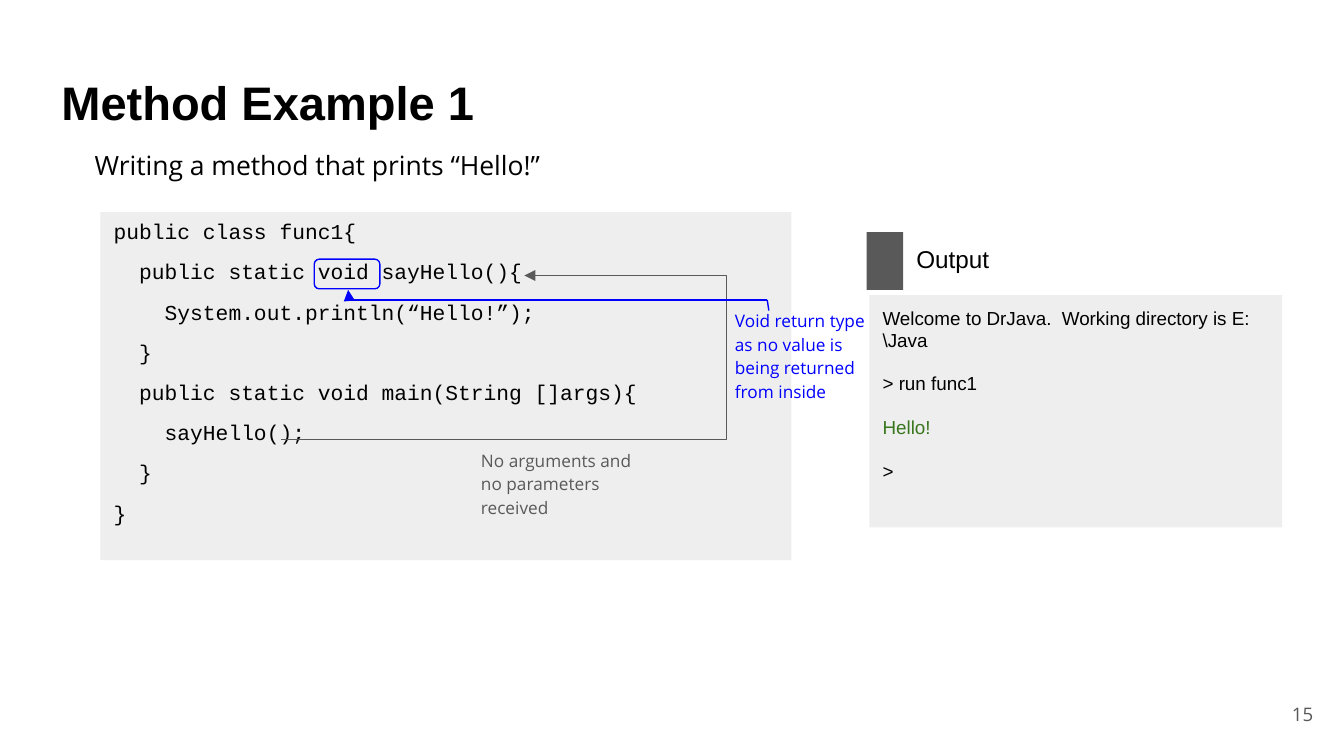
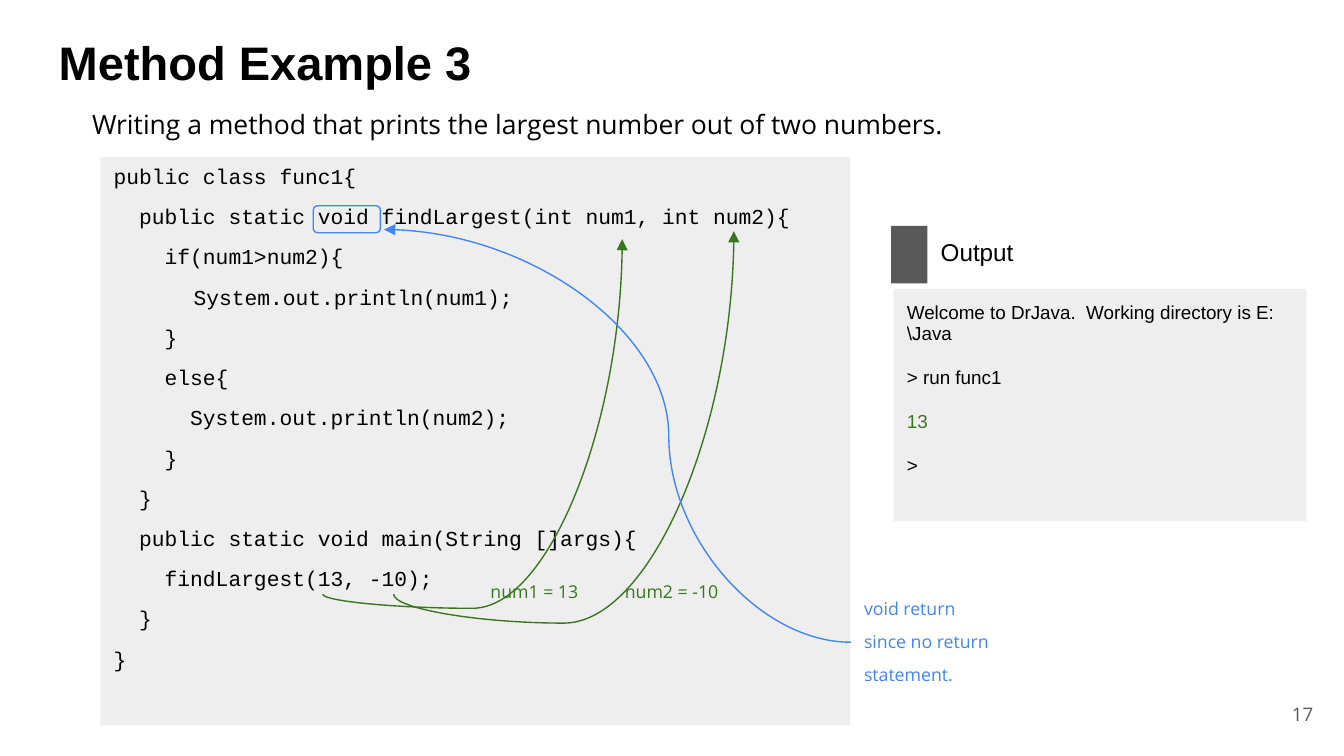
from dataclasses import dataclass

from lxml import etree
from pptx import Presentation
from pptx.dml.color import RGBColor
from pptx.enum.shapes import MSO_CONNECTOR, MSO_SHAPE
from pptx.enum.text import MSO_ANCHOR, MSO_AUTO_SIZE, PP_ALIGN
from pptx.oxml.ns import qn
from pptx.shapes.autoshape import Shape
from pptx.slide import Slide
from pptx.util import Cm, Pt

RECTANGLE, ROUNDED = MSO_SHAPE.RECTANGLE, MSO_SHAPE.ROUNDED_RECTANGLE
ALTERNATE_PROCESS = MSO_SHAPE.FLOWCHART_ALTERNATE_PROCESS
STRAIGHT, ELBOW, CURVE = MSO_CONNECTOR.STRAIGHT, MSO_CONNECTOR.ELBOW, MSO_CONNECTOR.CURVE
LEFT, RIGHT = PP_ALIGN.LEFT, PP_ALIGN.RIGHT
TOP, MIDDLE = MSO_ANCHOR.TOP, MSO_ANCHOR.MIDDLE
NO_AUTOFIT = MSO_AUTO_SIZE.NONE

COLORS = {
    "ink": "000000",
    "panel": "EEEEEE",
    "gray": "595959",
    "green": "38761D",
    "blue": "0000FF",
    "sky": "4285F4",
}


@dataclass(frozen=True)
class Frame:
    left: float
    top: float
    width: float
    height: float


@dataclass(frozen=True)
class TextStyle:
    font: str
    size: float
    color: str = "ink"
    bold: bool = False
    spacing: float = 1.0
    gap: float = 0
    after: float = 0
    indent: float = 0
    tab: float = 0
    align: PP_ALIGN = LEFT
    anchor: MSO_ANCHOR = TOP


@dataclass(frozen=True)
class Note:
    frame: Frame
    lines: list[str]
    style: TextStyle


@dataclass(frozen=True)
class Link:
    kind: MSO_CONNECTOR
    start: tuple[float, float]
    end: tuple[float, float]
    color: str
    arrow: str = ""
    bend: float | None = None
    upright: bool = False
    preset: str = ""


@dataclass(frozen=True)
class Highlight:
    outline: MSO_SHAPE
    frame: Frame
    color: str


@dataclass(frozen=True)
class Example:
    title: str
    task: str
    number: str
    title_at: tuple[float, float]
    code_frame: Frame
    code: str
    output_at: tuple[float, float]
    result: str
    highlight: Highlight
    links: list[Link]
    notes: list[Note]


TITLE = TextStyle("Arial", 25.2, bold=True)
TASK = TextStyle("Open Sans", 14.2, spacing=1.15, after=12, indent=1.27)
CODE = TextStyle("Courier New", 11.4, spacing=0.7, gap=12, after=12, tab=2.54)
OUTPUT_HEADING = TextStyle("Arial", 13)
OUTPUT = TextStyle("Arial", 10.1, spacing=0.95, gap=12, after=12)
NUMBER = TextStyle("Open Sans", 10, "gray", align=RIGHT, anchor=MIDDLE)


def rgb(name: str) -> RGBColor:
    return RGBColor.from_string(COLORS[name])


def note_style(color: str, size: float, spacing: float = 1.15, tab: float = 0) -> TextStyle:
    return TextStyle("Open Sans", size, color, spacing=spacing, gap=12, after=12, tab=tab)


def box(frame: Frame) -> tuple[Cm, Cm, Cm, Cm]:
    return Cm(frame.left), Cm(frame.top), Cm(frame.width), Cm(frame.height)


def place(shape: Shape, frame: Frame) -> None:
    shape.left, shape.top, shape.width, shape.height = box(frame)


def write(shape: Shape, lines: list[str], style: TextStyle,
          accents: dict[int, str] | None = None) -> None:
    body = shape.text_frame
    body.word_wrap = True
    body.auto_size = NO_AUTOFIT
    body.vertical_anchor = style.anchor
    body.margin_left = body.margin_right = body.margin_top = body.margin_bottom = Cm(0.25)
    body.text = "\n".join(lines)
    for index, paragraph in enumerate(body.paragraphs):
        properties = paragraph._p.get_or_add_pPr()
        properties.set("marL", str(Cm(style.indent)))
        properties.set("indent", "0")
        etree.SubElement(properties, qn("a:buNone"))
        if style.tab:
            stops = etree.SubElement(properties, qn("a:tabLst"))
            etree.SubElement(stops, qn("a:tab"), pos=str(Cm(style.tab)), algn="l")
        paragraph.alignment = style.align
        paragraph.line_spacing = style.spacing
        paragraph.space_before = Pt(style.gap if index else 0)
        paragraph.space_after = Pt(style.after if index == len(lines) - 1 else 0)
        font = paragraph.font
        font.name, font.size, font.bold = style.font, Pt(style.size), style.bold
        font.color.rgb = rgb((accents or {}).get(index, style.color))


def add_text(slide: Slide, frame: Frame, lines: list[str], style: TextStyle) -> None:
    write(slide.shapes.add_textbox(*box(frame)), lines, style)


def add_block(slide: Slide, frame: Frame, color: str) -> Shape:
    block = slide.shapes.add_shape(RECTANGLE, *box(frame))
    block.shadow.inherit = False
    block.fill.solid()
    block.fill.fore_color.rgb = rgb(color)
    block.line.fill.background()
    return block


def add_highlight(slide: Slide, highlight: Highlight) -> None:
    ring = slide.shapes.add_shape(highlight.outline, *box(highlight.frame))
    ring.shadow.inherit = False
    ring.fill.background()
    ring.line.color.rgb = rgb(highlight.color)
    ring.line.width = Pt(0.75)


def add_link(slide: Slide, link: Link) -> None:
    (x1, y1), (x2, y2) = link.start, link.end
    if link.upright:
        middle_x, middle_y = (x1 + x2) / 2, (y1 + y2) / 2
        half_run, half_rise = (x2 - x1) / 2, (y1 - y2) / 2
        x1, x2 = middle_x - half_rise, middle_x + half_rise
        y1, y2 = middle_y - half_run, middle_y + half_run
    connector = slide.shapes.add_connector(link.kind, Cm(x1), Cm(y1), Cm(x2), Cm(y2))
    connector.line.color.rgb = rgb(link.color)
    connector.line.width = Pt(0.75)
    properties = connector._element.spPr
    if link.upright:
        properties.find(qn("a:xfrm")).set("rot", str(270 * 60000))
    geometry = properties.find(qn("a:prstGeom"))
    if link.preset:
        geometry.set("prst", link.preset)
    if link.bend is not None:
        etree.SubElement(geometry.find(qn("a:avLst")), qn("a:gd"),
                         name="adj1", fmla=f"val {round(link.bend * 100000)}")
    if link.arrow:
        etree.SubElement(properties.find(qn("a:ln")), qn(f"a:{link.arrow}"), type="triangle")
    etree.SubElement(properties, qn("a:effectLst"))


def add_output(slide: Slide, at: tuple[float, float], result: str) -> None:
    left, top = at
    add_block(slide, Frame(left, top, 0.69, 1.09), "gray")
    add_text(slide, Frame(left + 0.69, top - 0.03, 7.16, 1.24), ["Output"], OUTPUT_HEADING)
    console = slide.placeholders[1]
    place(console, Frame(left + 0.05, top + 1.19, 7.8, 4.39))
    console.fill.solid()
    console.fill.fore_color.rgb = rgb("panel")
    lines = ["Welcome to DrJava.  Working directory is E:\\Java", "> run func1", result, ">"]
    write(console, lines, OUTPUT, {2: "green"})


def add_example(deck: Presentation, example: Example) -> None:
    slide = deck.slides.add_slide(deck.slide_layouts[1])
    left, top = example.title_at
    place(slide.shapes.title, Frame(left, top, 23.67, 1.6))
    write(slide.shapes.title, [example.title], TITLE)
    code_panel = add_block(slide, example.code_frame, "panel")
    write(code_panel, example.code.strip("\n").split("\n"), CODE)
    add_text(slide, Frame(left - 0.64, top + 1.33, 22.15, 1.24), [example.task], TASK)
    add_text(slide, Frame(23.55, 12.95, 1.52, 1.09), [example.number], NUMBER)
    add_output(slide, example.output_at, example.result)
    add_highlight(slide, example.highlight)
    for link in example.links:
        add_link(slide, link)
    for note in example.notes:
        add_text(slide, note.frame, note.lines, note.style)


HELLO_CODE = """
public class func1{
  public static void sayHello(){
    System.out.println(“Hello!”);
  }
  public static void main(String []args){
    sayHello();
  }
}
"""

LARGEST_CODE = """
public class func1{
  public static void findLargest(int num1, int num2){
    if(num1>num2){
\t System.out.println(num1);
    }
    else{
      System.out.println(num2);
    }
  }
  public static void main(String []args){
    findLargest(13, -10);
  }
}
"""

EXAMPLES = [
    Example(
        title="Method Example 1",
        task="Writing a method that prints “Hello!”",
        number="15",
        title_at=(0.91, 1.14),
        code_frame=Frame(1.9, 4.01, 13.06, 6.58),
        code=HELLO_CODE,
        output_at=(16.38, 4.39),
        result="Hello!",
        highlight=Highlight(ROUNDED, Frame(5.94, 4.9, 1.24, 0.56), "blue"),
        links=[
            Link(ELBOW, (5.31, 8.31), (9.91, 5.21), "gray", "tailEnd", 1.83),
            Link(ELBOW, (6.58, 5.48), (14.5, 5.67), "blue", "headEnd",
                 upright=True, preset="bentConnector2"),
            Link(STRAIGHT, (14.5, 5.67), (14.53, 5.87), "blue"),
        ],
        notes=[
            Note(Frame(8.84, 8.2, 3.35, 2.21),
                 ["No arguments and no parameters received"], note_style("gray", 9.2)),
            Note(Frame(13.64, 5.56, 3.35, 2.21),
                 ["Void return type as no value is being returned from inside"],
                 note_style("blue", 9.2)),
        ],
    ),
    Example(
        title="Method Example 3",
        task="Writing a method that prints the largest number out of two numbers.",
        number="17",
        title_at=(0.86, 0.38),
        code_frame=Frame(1.9, 2.97, 14.17, 10.74),
        code=LARGEST_CODE,
        output_at=(16.84, 4.27),
        result="13",
        highlight=Highlight(ALTERNATE_PROCESS, Frame(5.92, 3.89, 1.27, 0.51), "sky"),
        links=[
            Link(CURVE, (6.1, 11.23), (11.76, 4.52), "green", "tailEnd", -0.04, True),
            Link(CURVE, (7.44, 11.23), (13.87, 4.37), "green", "tailEnd", -0.08, True),
            Link(CURVE, (7.26, 4.34), (16.08, 12.14), "sky", "headEnd", 0.61),
        ],
        notes=[
            Note(Frame(9.02, 10.67, 5.28, 1.73),
                 ["num1 = 13\tnum2 = -10"], note_style("green", 9.5, tab=2.28)),
            Note(Frame(16.08, 11.23, 3.1, 1.73),
                 ["void return", "since no return", "statement."],
                 note_style("sky", 9.5, 0.5)),
        ],
    ),
]


def main() -> None:
    deck = Presentation()
    deck.slide_width, deck.slide_height = Cm(25.4), Cm(14.29)
    for example in EXAMPLES:
        add_example(deck, example)
    deck.save("out.pptx")


if __name__ == "__main__":
    main()
